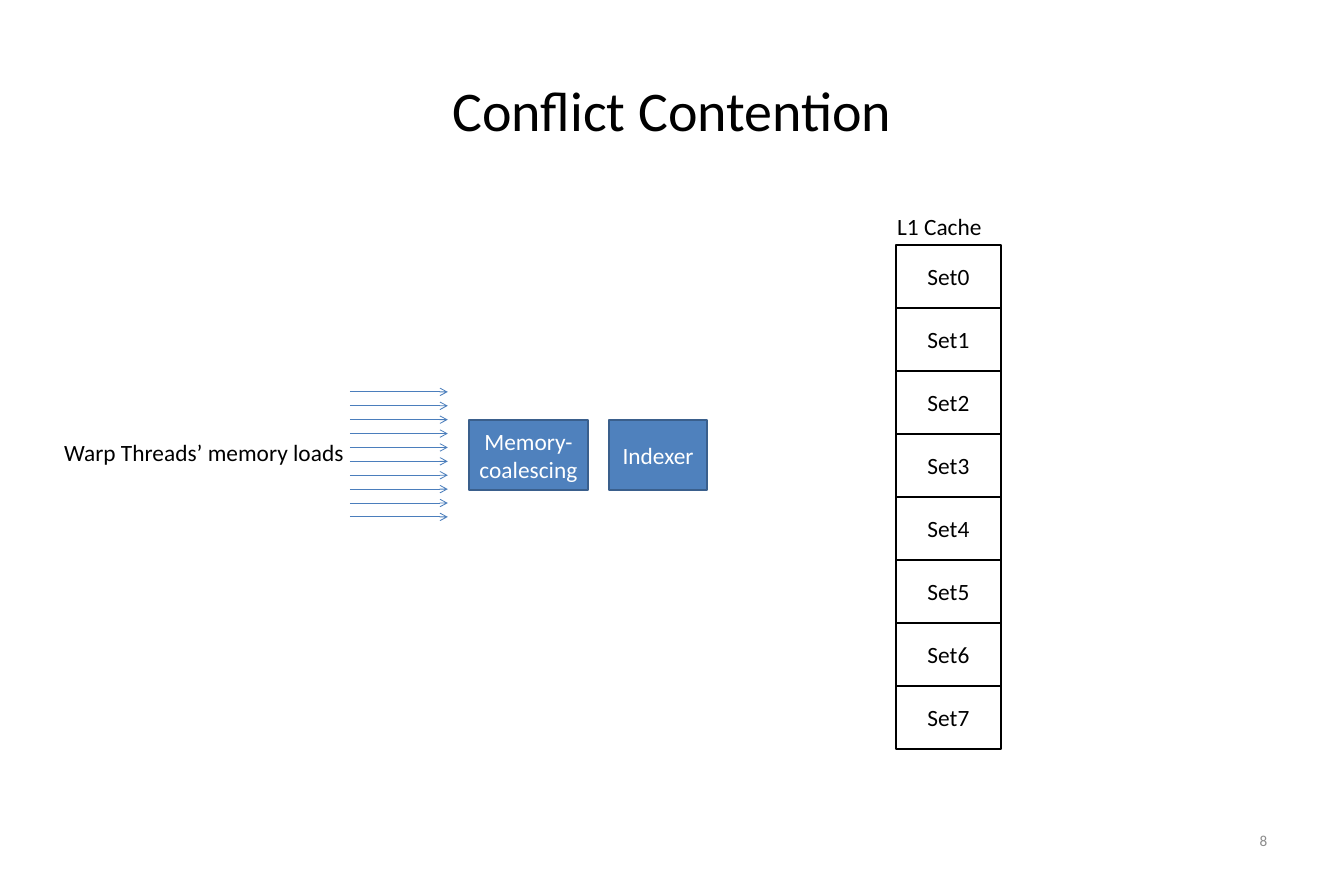
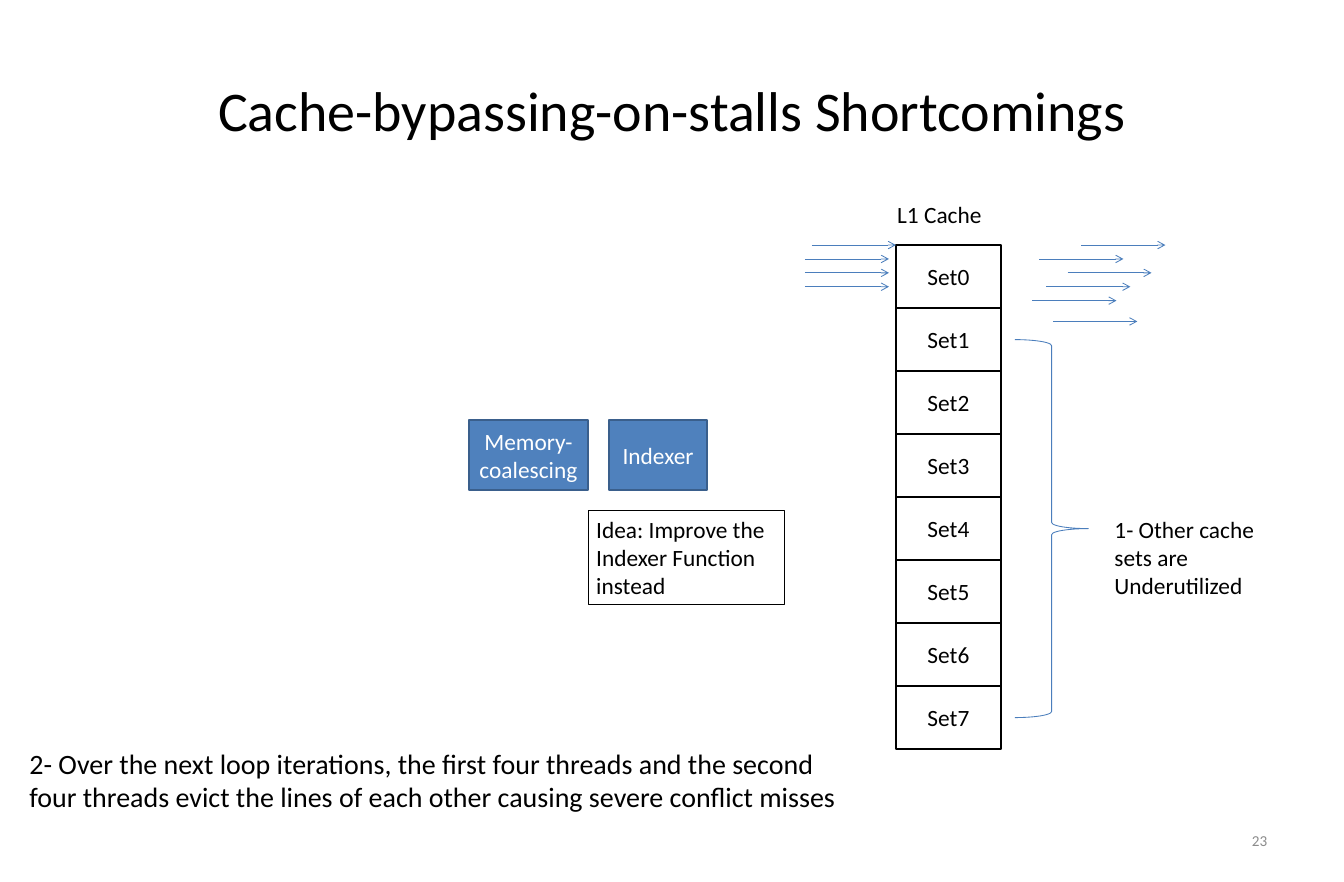
"""Builds two slides on contention in the L1 cache."""
from lxml import etree
from pptx import Presentation
from pptx.dml.color import RGBColor
from pptx.enum.shapes import MSO_CONNECTOR, MSO_SHAPE
from pptx.enum.text import MSO_ANCHOR, PP_ALIGN
from pptx.oxml.ns import qn
from pptx.util import Cm, Pt

RECT, BRACE = MSO_SHAPE.RECTANGLE, MSO_SHAPE.RIGHT_BRACE
STRAIGHT = MSO_CONNECTOR.STRAIGHT
TOP, MIDDLE = MSO_ANCHOR.TOP, MSO_ANCHOR.MIDDLE
LEFT, CENTER, RIGHT = PP_ALIGN.LEFT, PP_ALIGN.CENTER, PP_ALIGN.RIGHT

FONT = "Calibri"
BLACK, WHITE, GREY = "000000", "FFFFFF", "8C8C8C"
BLUE, DARK_BLUE, ARROW_BLUE = "4F81BD", "3A5F8C", "4B7EBC"

TITLE_ONLY = 5
TITLE_BOX = (2.03, 1.07, 36.58, 4.45)
NUMBER_BOX = (29.13, 24.71, 9.47, 1.42)
CACHE_BOX = (27.09, 7.41, 3.18, 15.24)
PIPELINE_BOX = (14.18, 12.7, 7.2, 2.12)
LOADS_BOX = (1.69, 11.85, 11.85, 3.81)
SET_COUNT = 8
LOAD_COUNT = 10
ARROW_GAP = 0.42
ARROW_LENGTH = 2.54
INCOMING_STARTS = (-2.54, -2.75, -2.75, -2.75)
BYPASS_STARTS = ((0, 5.61), (1, 4.34), (2, 5.19), (3, 4.55), (4, 4.13), (5.5, 4.76))


def color(hex_code):
    """Turn a hex string into a colour."""
    return RGBColor.from_string(hex_code)


def cm(*lengths):
    """Turn numbers of centimetres into lengths."""
    return [Cm(length) for length in lengths]


def write(frame, text, size=20, ink=BLACK, align=LEFT, anchor=TOP, inset=0.25):
    """Fill a text frame, one paragraph for each line of text."""
    frame.word_wrap = True
    frame.vertical_anchor = anchor
    frame.margin_left = frame.margin_right = Cm(inset)
    frame.margin_top = frame.margin_bottom = Cm(0.13)
    frame.text = text
    for paragraph in frame.paragraphs:
        paragraph.alignment = align
        paragraph.font.name = FONT
        paragraph.font.size = Pt(size)
        paragraph.font.color.rgb = color(ink)


def add_text(slide, box, text, **style):
    """Add a text box."""
    write(slide.shapes.add_textbox(*cm(*box)).text_frame, text, **style)


def add_outline(slide, kind, box, line, width, fill=None):
    """Add a preset shape without shadow and return it."""
    shape = slide.shapes.add_shape(kind, *cm(*box))
    shape.shadow.inherit = False
    shape.line.color.rgb = color(line)
    shape.line.width = Pt(width)
    if fill:
        shape.fill.solid()
        shape.fill.fore_color.rgb = color(fill)
    else:
        shape.fill.background()
    return shape


def add_block(slide, box, text, fill, line, ink):
    """Add a bordered block with a centred label."""
    block = add_outline(slide, RECT, box, line, 2, fill)
    write(block.text_frame, text, ink=ink, align=CENTER, anchor=MIDDLE)


def add_arrow(slide, left, top, length):
    """Add a thin arrow that points right."""
    arrow = slide.shapes.add_connector(STRAIGHT, *cm(left, top, left + length, top))
    arrow.line.color.rgb = color(ARROW_BLUE)
    arrow.line.width = Pt(0.75)
    properties = arrow._element.spPr
    etree.SubElement(properties.find(qn("a:ln")), qn("a:tailEnd"), type="arrow")
    etree.SubElement(properties, qn("a:effectLst"))


def add_cache(slide, box, label_rise):
    """Draw the labelled column of cache sets."""
    left, top, width, height = box
    set_height = height / SET_COUNT
    for index in range(SET_COUNT):
        set_box = (left, top + index * set_height, width, set_height)
        add_block(slide, set_box, f"Set{index}", WHITE, BLACK, BLACK)
    add_text(slide, (left - 0.21, top - label_rise, 3.6, 1.12), "L1 Cache")


def add_pipeline(slide, box):
    """Draw the coalescing and indexer stages at the two ends of the box."""
    left, top, width, height = box
    coalescing_width, indexer_width = 3.6, 2.96
    add_block(slide, (left, top, coalescing_width, height),
              "Memory-coalescing", BLUE, DARK_BLUE, WHITE)
    add_block(slide, (left + width - indexer_width, top, indexer_width, height),
              "Indexer", BLUE, DARK_BLUE, WHITE)


def add_loads(slide, box):
    """Draw the memory loads of the warp as parallel arrows with a label."""
    left, top, width, _ = box
    length = 2.96
    for row in range(LOAD_COUNT):
        add_arrow(slide, left + width - length, top + row * ARROW_GAP, length)
    add_text(slide, (left, top + 1.28, 9.53, 1.12), "Warp Threads’ memory loads")


def add_bypass(slide, box):
    """Draw loads entering and passing the cache, and its unused sets."""
    left, top, _, _ = box
    for row, start in (*enumerate(INCOMING_STARTS), *BYPASS_STARTS):
        add_arrow(slide, left + start, top + row * ARROW_GAP, ARROW_LENGTH)
    add_outline(slide, BRACE, (left + 3.6, top + 2.86, 2.22, 11.43), ARROW_BLUE, 0.75)
    add_text(slide, (left + 6.36, top + 8.04, 5.18, 2.82),
             "1- Other cache sets are Underutilized")


def add_idea(slide, box):
    """Draw the framed idea below the indexer."""
    left, top, width, height = box
    idea_box = (left + width / 2, top + height + 0.63, 5.93, 2.82)
    idea = add_outline(slide, RECT, idea_box, BLACK, 0.75)
    write(idea.text_frame, "Idea: Improve the\nIndexer Function instead")


def add_base_slide(deck, title, number, label_rise):
    """Add a slide with the title, number, cache and pipeline."""
    slide = deck.slides.add_slide(deck.slide_layouts[TITLE_ONLY])
    heading = slide.shapes.title
    heading.left, heading.top, heading.width, heading.height = cm(*TITLE_BOX)
    write(heading.text_frame, title, size=48, align=CENTER, anchor=MIDDLE, inset=0.28)
    add_text(slide, NUMBER_BOX, str(number), size=13, ink=GREY,
             align=RIGHT, anchor=MIDDLE, inset=0.28)
    add_cache(slide, CACHE_BOX, label_rise)
    add_pipeline(slide, PIPELINE_BOX)
    return slide


def add_contention_slide(deck):
    """Add the slide on conflict contention."""
    slide = add_base_slide(deck, "Conflict Contention", 8, 1.11)
    add_loads(slide, LOADS_BOX)


def add_shortcomings_slide(deck):
    """Add the slide on the shortcomings of bypassing."""
    slide = add_base_slide(deck, "Cache-bypassing-on-stalls Shortcomings", 23, 1.48)
    add_bypass(slide, CACHE_BOX)
    add_idea(slide, PIPELINE_BOX)
    add_text(slide, (0.64, 22.44, 24.97, 2.31),
             "2- Over the next loop iterations, the first four threads and the second "
             "four threads evict the lines of each other causing severe conflict misses",
             size=24)


def main():
    """Build and save the deck."""
    deck = Presentation()
    deck.slide_width, deck.slide_height = cm(40.64, 26.67)
    add_contention_slide(deck)
    add_shortcomings_slide(deck)
    deck.save("out.pptx")


if __name__ == "__main__":
    main()
